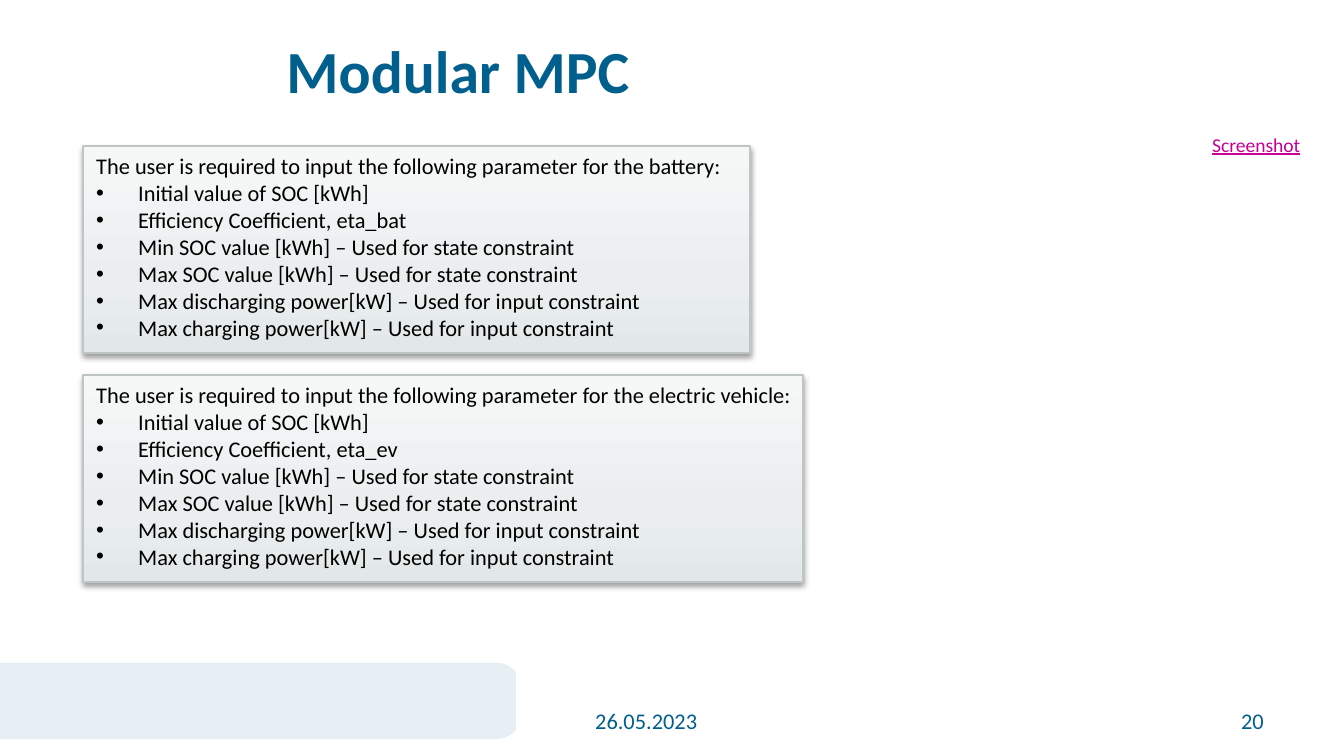
from dataclasses import dataclass

from lxml import etree
from pptx import Presentation
from pptx import util as u
from pptx.dml.color import RGBColor
from pptx.enum import shapes, text
from pptx.oxml import parse_xml
from pptx.oxml.ns import nsdecls, qn

EMU_PER_PX = 914400 / 134.4


def px(length: float) -> u.Emu:
    return u.Emu(round(length * EMU_PER_PX))


@dataclass(frozen=True)
class Theme:
    font: str = "Calibri"
    blue: str = "005F8C"
    ink: str = "000000"
    link: str = "C80096"
    band: str = "E6EFF4"
    border: str = "BFC4C4"
    gradient: tuple = ((0, "E2E8E8"), (35, "EAEEEE"), (100, "F6F8F8"))
    title_size: float = 32
    body_size: float = 12
    note_size: float = 10.5


THEME = Theme()


@dataclass(frozen=True)
class Box:
    left: int
    top: int
    width: int
    height: int

    def emu(self) -> tuple:
        return px(self.left), px(self.top), px(self.width), px(self.height)


@dataclass(frozen=True)
class Panel:
    subject: str
    suffix: str
    card: Box
    label: Box


PANELS = (
    Panel("electric vehicle", "ev", Box(83, 375, 720, 207), Box(83, 375, 730, 231)),
    Panel("battery", "bat", Box(83, 146, 667, 207), Box(83, 146, 659, 231)),
)


def parameter_lines(panel: Panel) -> list[str]:
    return [
        f"The user is required to input the following parameter for the {panel.subject}:",
        "Initial value of SOC [kWh]",
        f"Efficiency Coefficient, eta_{panel.suffix}",
        *(f"{limit} SOC value [kWh] – Used for state constraint" for limit in ("Min", "Max")),
        *(f"Max {flow} power[kW] – Used for input constraint" for flow in ("discharging", "charging")),
    ]


def style(para, size: float, color: str, bold: bool = False, underline: bool = False) -> None:
    for span in para.runs:
        span.font.name = THEME.font
        span.font.size = u.Pt(size)
        span.font.bold = bold
        span.font.underline = underline
        span.font.color.rgb = RGBColor.from_string(color)


def add_label(page, box: Box, wording: str, size: float, color: str, wrap: bool = True,
              anchor=text.MSO_ANCHOR.TOP, align=text.PP_ALIGN.LEFT, underline: bool = False):
    label = page.shapes.add_textbox(*box.emu())
    frame = label.text_frame
    frame.word_wrap = wrap
    frame.vertical_anchor = anchor
    frame.text = wording
    for para in frame.paragraphs:
        para.alignment = align
        style(para, size, color, underline=underline)
    return label


def add_bullet(para) -> None:
    properties = para._p.get_or_add_pPr()
    indent = px(42)
    properties.set("marL", str(indent))
    properties.set("indent", str(-indent))
    etree.SubElement(properties, qn("a:buFont")).set("typeface", "Arial")
    etree.SubElement(properties, qn("a:buChar")).set("char", "•")


def add_card(page, box: Box) -> None:
    card = page.shapes.add_shape(shapes.MSO_SHAPE.RECTANGLE, *box.emu())
    card.line.color.rgb = RGBColor.from_string(THEME.border)
    card.line.width = u.Pt(0.75)
    card.shadow.inherit = False
    stops = "".join(
        f'<a:gs pos="{place * 1000}"><a:srgbClr val="{color}"/></a:gs>'
        for place, color in THEME.gradient
    )
    gradient = parse_xml(
        f'<a:gradFill {nsdecls("a")} rotWithShape="1"><a:gsLst>{stops}</a:gsLst>'
        '<a:lin ang="16200000" scaled="0"/></a:gradFill>'
    )
    properties = card._element.spPr
    properties.find(qn("a:prstGeom")).addnext(gradient)
    properties.find(qn("a:effectLst")).append(parse_xml(
        f'<a:outerShdw {nsdecls("a")} blurRad="{u.Pt(3.1)}" dist="{u.Pt(1.6)}" dir="5400000" '
        f'rotWithShape="0"><a:srgbClr val="{THEME.ink}"><a:alpha val="38000"/></a:srgbClr>'
        '</a:outerShdw>'
    ))


def add_panel(page, panel: Panel) -> None:
    add_card(page, panel.card)
    label = add_label(page, panel.label, "\n".join(parameter_lines(panel)),
                      THEME.body_size, THEME.ink, wrap=False)
    for para in label.text_frame.paragraphs[1:]:
        add_bullet(para)


def add_footer_band(page, box: Box, corner_width: int = 17, corner_height: int = 10) -> None:
    right, bottom = box.left + box.width, box.top + box.height
    steps = [step / 12 for step in range(13)]
    curve = [
        (right - corner_width * (1 - t) ** 2 * (1 + 2 * t),
         corner_height * t ** 2 * (3 - 2 * t) * t)
        for t in steps
    ]
    upper = [(x, box.top + drop) for x, drop in curve]
    lower = [(x, bottom - drop) for x, drop in reversed(curve)]
    builder = page.shapes.build_freeform(px(box.left), px(box.top))
    points = [*upper, *lower, (box.left, bottom)]
    builder.add_line_segments([(px(x), px(y)) for x, y in points], close=True)
    band = builder.convert_to_shape()
    band.fill.solid()
    band.fill.fore_color.rgb = RGBColor.from_string(THEME.band)
    band.line.fill.background()
    band.shadow.inherit = False


def set_title(page, box: Box, wording: str) -> None:
    title = page.shapes.title
    title.left, title.top, title.width, title.height = box.emu()
    frame = title.text_frame
    frame.text = wording
    frame.word_wrap = True
    frame.auto_size = text.MSO_AUTO_SIZE.NONE
    frame.vertical_anchor = text.MSO_ANCHOR.TOP
    frame.paragraphs[0].alignment = text.PP_ALIGN.LEFT
    style(frame.paragraphs[0], THEME.title_size, THEME.blue, bold=True)


def main() -> None:
    deck = Presentation()
    deck.slide_width, deck.slide_height = px(1344), px(756)
    page = deck.slides.add_slide(deck.slide_layouts[5])
    add_footer_band(page, Box(0, 663, 516, 76))
    for left, wording, align in (
        (582, "26.05.2023", text.PP_ALIGN.LEFT),
        (964, "20", text.PP_ALIGN.RIGHT),
    ):
        add_label(page, Box(left, 701, 313, 40), wording, THEME.body_size, THEME.blue,
                  anchor=text.MSO_ANCHOR.MIDDLE, align=align)
    set_title(page, Box(273, 27, 797, 120), "Modular MPC")
    for panel in PANELS:
        add_panel(page, panel)
    add_label(page, Box(1199, 126, 121, 39), "Screenshot", THEME.note_size, THEME.link,
              wrap=False, underline=True)
    deck.save("out.pptx")


if __name__ == "__main__":
    main()
